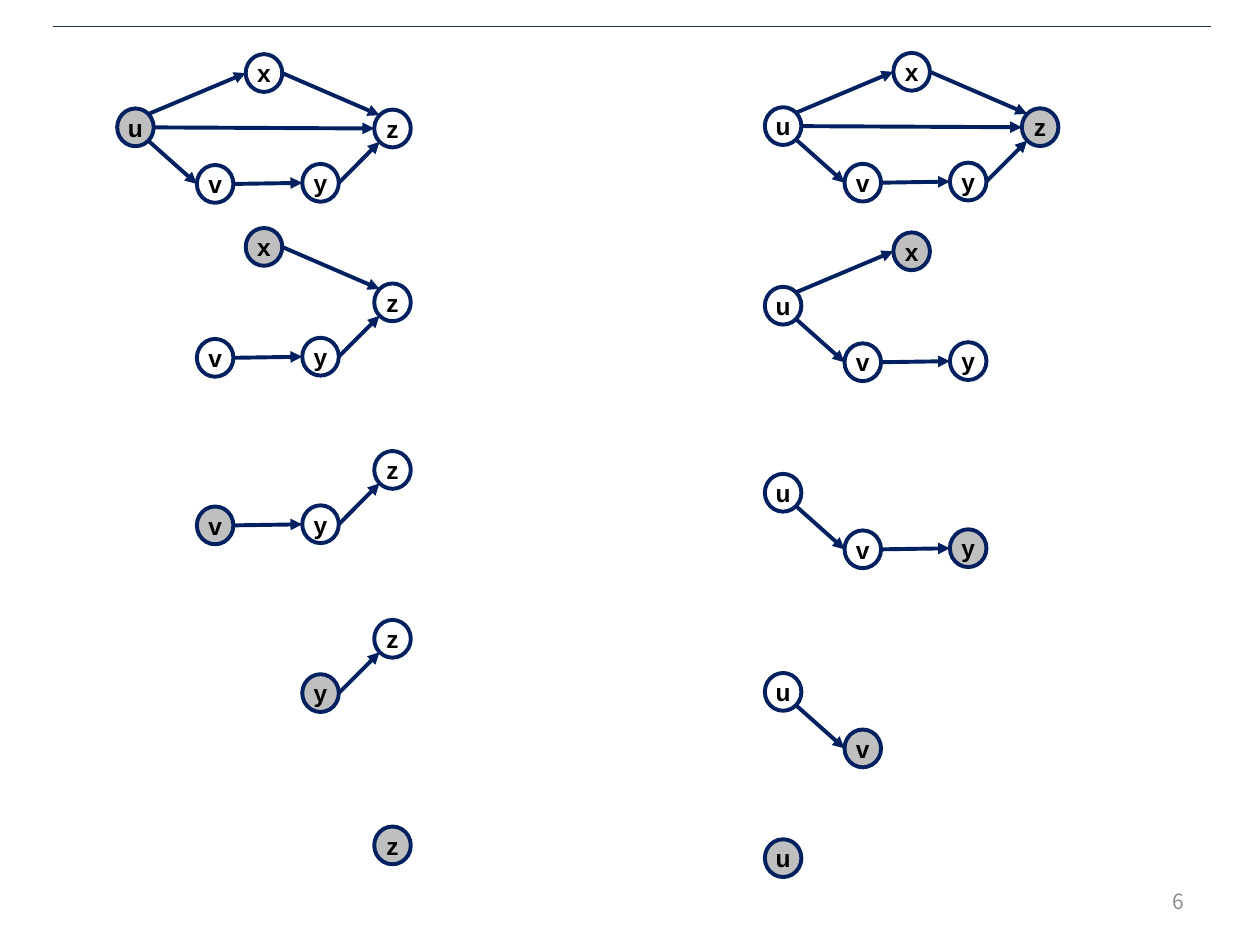
import math
import pptx
import pptx.util
import pptx.dml.color
import pptx.enum.shapes
import pptx.enum.text
from pptx.oxml import parse_xml
from pptx.oxml.ns import nsdecls, qn

NAVY, GREY, BLACK = "002060", "BFBFBF", "000000"
NODE_W, NODE_H = 2.9, 3.0          # in grid cells
GRAPH_W, GRAPH_H = 23.3, 11.8

# Each node's place, as shares of the graph box left free by one node
PLACES = {"v": (0.31, 1), "u": (0, 0.49), "x": (0.5, 0),
          "z": (1, 0.5), "y": (0.72, 0.99)}
# Start node, its angle, end node, its angle (degrees clockwise from the right)
EDGES = [("u", 45, "v", 180), ("u", 0, "z", 180), ("v", 0, "y", 180),
         ("x", 0, "z", 225), ("u", -45, "x", 180), ("y", 0, "z", 135)]

# Column left edge, then top row, remaining nodes and marked node of each step
SEQUENCES = [
    (60.7, [(4.2, "vuxzy", "z"), (18.45, "vuxy", "x"), (33.3, "vuy", "y"),
            (49.1, "vu", "v"), (62.3, "u", "u")]),
    (9.3, [(4.3, "vuxzy", "u"), (18.1, "vxzy", "x"), (31.4, "vzy", "v"),
           (44.8, "zy", "y"), (61.2, "z", "z")]),
]


def cell(n):
    """Grid of 100 columns by 75 rows."""
    return pptx.util.Inches(n / 10)


def color(hex_code):
    return pptx.dml.color.RGBColor.from_string(hex_code)


def add_text(tf, text, size, font, hex_code, align, bold=False):
    tf.word_wrap = True
    tf.vertical_anchor = pptx.enum.text.MSO_ANCHOR.MIDDLE
    p = tf.paragraphs[0]
    p.alignment = align
    r = p.add_run()
    r.text = text
    r.font.size = pptx.util.Pt(size)
    r.font.name = font
    r.font.bold = bold
    r.font.color.rgb = color(hex_code)
    for tag in ("a:ea", "a:cs"):
        r.font._element.append(parse_xml(
            f'<{tag} {nsdecls("a")} typeface="{font}"/>'))


def add_line(shapes, start, end, hex_code, width, arrow=False):
    line = shapes.add_connector(pptx.enum.shapes.MSO_CONNECTOR.STRAIGHT,
                                *map(cell, (*start, *end)))
    line.line.color.rgb = color(hex_code)
    line.line.width = pptx.util.Pt(width)
    sp_pr = line._element.spPr
    if arrow:
        sp_pr.find(qn("a:ln")).append(parse_xml(
            f'<a:tailEnd {nsdecls("a")} type="triangle"/>'))
    sp_pr.append(parse_xml(f'<a:effectLst {nsdecls("a")}/>'))


def add_node(shapes, left, top, name, marked):
    sp = shapes.add_shape(pptx.enum.shapes.MSO_SHAPE.OVAL,
                          *map(cell, (left, top, NODE_W, NODE_H)))
    sp.shadow.inherit = False
    if marked:
        sp.fill.solid()
        sp.fill.fore_color.rgb = color(GREY)
    else:
        sp.fill.background()
    sp.line.color.rgb = color(NAVY)
    sp.line.width = pptx.util.Pt(2.25)
    tf = sp.text_frame
    tf.margin_left = tf.margin_right = 0
    add_text(tf, name, 14, "Arial", BLACK, pptx.enum.text.PP_ALIGN.CENTER, True)


def add_graph(s, box, names, marked):
    """One step: the remaining nodes and the edges between them."""
    left, top, width, height = box
    shapes = s.shapes.add_group_shape().shapes if len(names) > 1 else s.shapes
    corners = {n: (left + PLACES[n][0] * (width - NODE_W),
                   top + PLACES[n][1] * (height - NODE_H)) for n in names}

    def rim(name, degrees):
        x, y = corners[name]
        a = math.radians(degrees)
        return (x + NODE_W / 2 * (1 + math.cos(a)),
                y + NODE_H / 2 * (1 + math.sin(a)))

    for name, corner in corners.items():
        add_node(shapes, *corner, name, name == marked)
    for tail, tail_angle, head, head_angle in EDGES:
        if tail in corners and head in corners:
            add_line(shapes, rim(tail, tail_angle), rim(head, head_angle),
                     NAVY, 2.25, arrow=True)


def add_page_number(s, box, number):
    sp = s.shapes.add_textbox(*map(cell, box))
    add_text(sp.text_frame, number, 12, "Noto Sans CJK KR", "8C8C8C",
             pptx.enum.text.PP_ALIGN.RIGHT)


def main():
    prs = pptx.Presentation()
    prs.slide_width, prs.slide_height = cell(100), cell(75)
    s = prs.slides.add_slide(prs.slide_layouts[6])

    # Rule along the top
    add_line(s.shapes, (4.2, 2.1), (96.1, 2.1), "1C314E", 0.25)

    # Removal sequences, one per column
    for left, steps in SEQUENCES:
        for top, names, marked in steps:
            add_graph(s, (left, top, GRAPH_W, GRAPH_H), names, marked)

    add_page_number(s, (71.7, 69.5, 23.3, 4), "6")
    prs.save("out.pptx")


if __name__ == "__main__":
    main()
